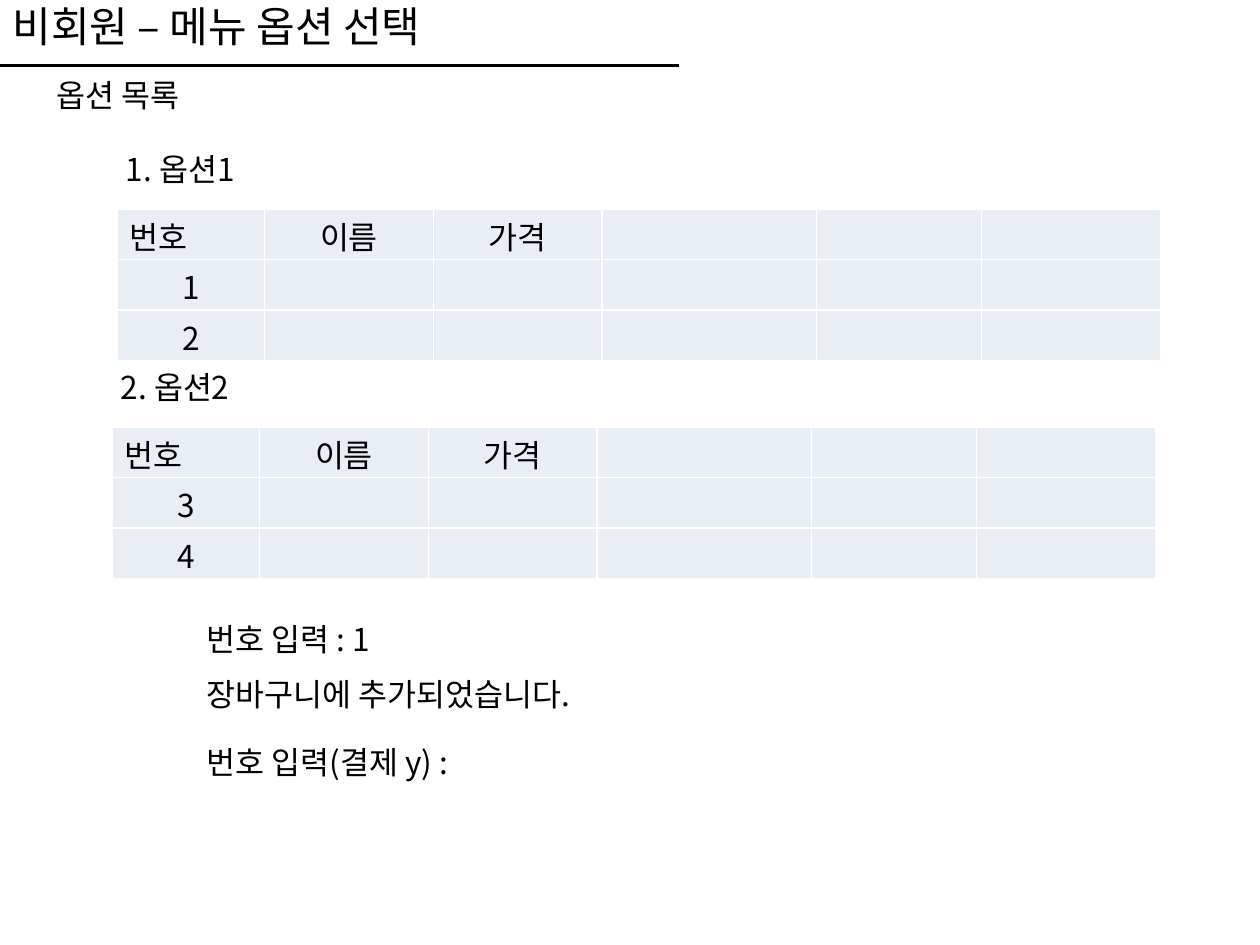
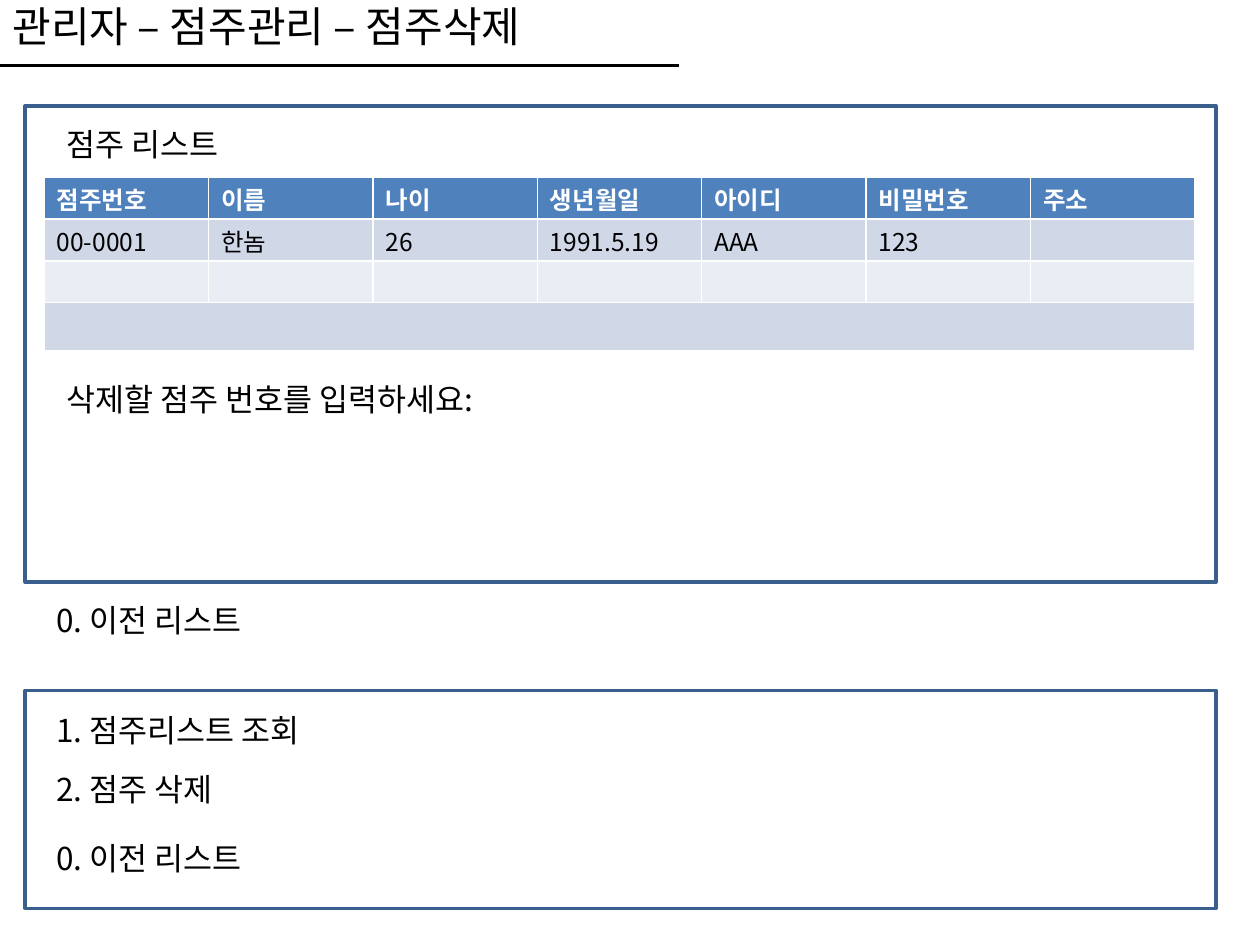
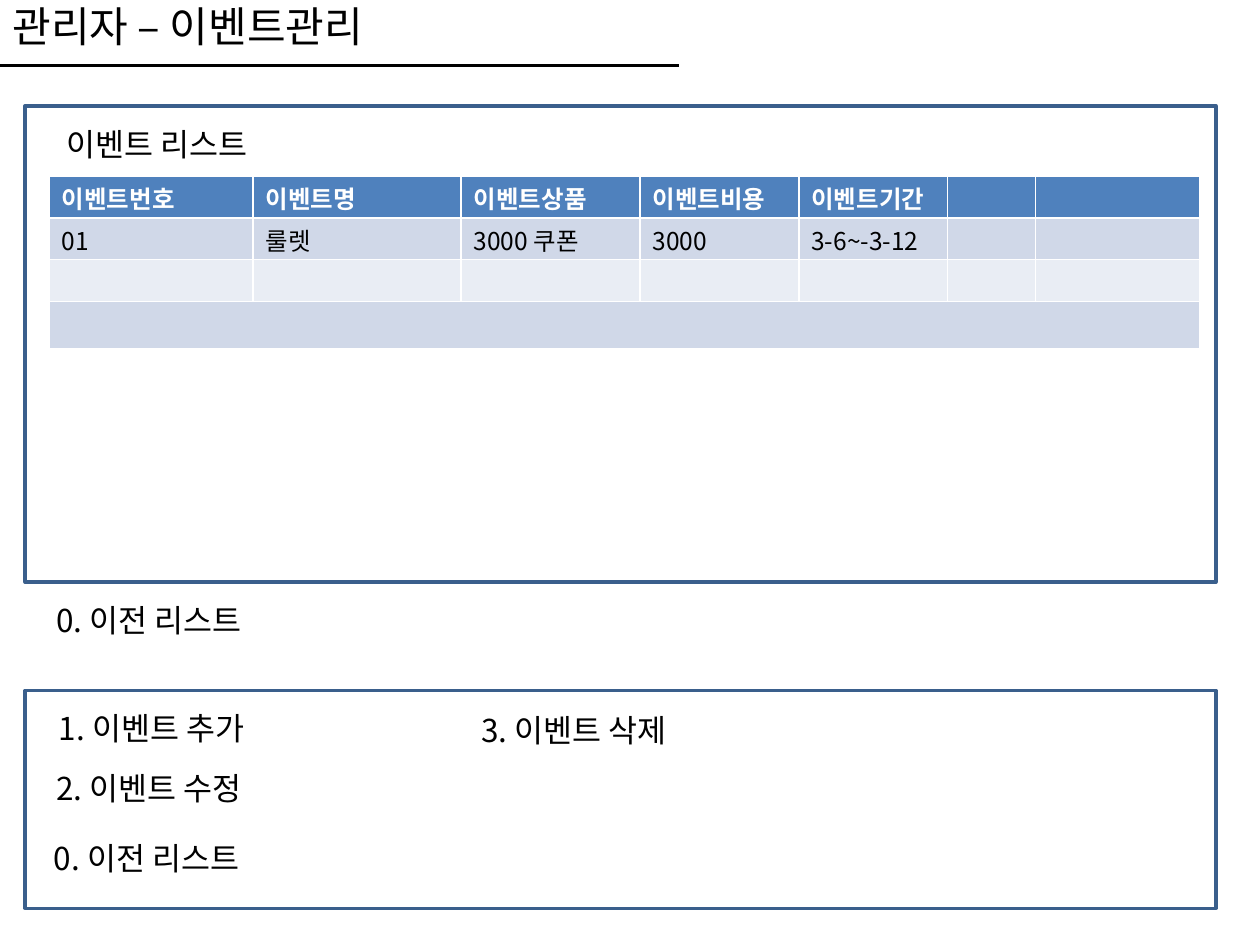
from dataclasses import dataclass

from lxml import etree
from pptx import Presentation
from pptx.dml.color import RGBColor
from pptx.enum.shapes import MSO_CONNECTOR, MSO_SHAPE
from pptx.enum.text import MSO_ANCHOR, PP_ALIGN
from pptx.oxml.ns import qn
from pptx.util import Inches, Pt

LEFT, CENTER = PP_ALIGN.LEFT, PP_ALIGN.CENTER
TOP = MSO_ANCHOR.TOP
RECTANGLE = MSO_SHAPE.RECTANGLE
STRAIGHT = MSO_CONNECTOR.STRAIGHT
TITLE_ONLY = 5


@dataclass(frozen=True)
class Theme:
    font: str = "Noto Sans CJK KR"
    text: RGBColor = RGBColor(0x00, 0x00, 0x00)
    white: RGBColor = RGBColor(0xFF, 0xFF, 0xFF)
    frame: RGBColor = RGBColor(0x3A, 0x5F, 0x8C)
    header: RGBColor = RGBColor(0x4F, 0x81, 0xBD)
    band: RGBColor = RGBColor(0xD0, 0xD8, 0xE8)
    pale: RGBColor = RGBColor(0xE9, 0xED, 0xF4)
    title_size: int = 24
    body_size: int = 18
    table_size: int = 14


THEME = Theme()


# Text helpers
def add_run(p, text, size=THEME.body_size, color=THEME.text, bold=False):
    r = p.add_run()
    r.text = text
    r.font.size = Pt(size)
    r.font.bold = bold
    r.font.color.rgb = color
    r.font.name = THEME.font
    etree.SubElement(r._r.get_or_add_rPr(), qn("a:ea"), typeface=THEME.font)


def format_frame(tf):
    tf.word_wrap = True
    tf.vertical_anchor = TOP
    tf.margin_left = tf.margin_right = Inches(0.1)
    tf.margin_top = tf.margin_bottom = 0


def add_text(slide, left, top, width, *lines, height=0.4, gap=0):
    box = slide.shapes.add_textbox(Inches(left), Inches(top), Inches(width), Inches(height))
    tf = box.text_frame
    format_frame(tf)
    for i, line in enumerate(lines):
        p = tf.add_paragraph() if i else tf.paragraphs[0]
        if i:
            p.space_before = Pt(gap)
        add_run(p, line)


# Title with the rule below it
def add_titled_slide(prs, title, width=5.39):
    slide = prs.slides.add_slide(prs.slide_layouts[TITLE_ONLY])
    sp = slide.shapes.title
    sp.left, sp.top, sp.width, sp.height = 0, 0, Inches(width), Inches(0.5)
    format_frame(sp.text_frame)
    p = sp.text_frame.paragraphs[0]
    p.alignment = LEFT
    add_run(p, title, THEME.title_size)

    rule = slide.shapes.add_connector(STRAIGHT, 0, Inches(0.52), Inches(5.39), Inches(0.52))
    rule.line.color.rgb = THEME.text
    rule.line.width = Pt(1.75)
    etree.SubElement(rule._element.spPr, qn("a:effectLst"))
    return slide


# Tables
def add_grid(slide, left, top, widths, heights, fills, rows, header, size):
    frame = slide.shapes.add_table(
        len(heights), len(widths), Inches(left), Inches(top),
        Inches(sum(widths)), Inches(sum(heights)))
    table = frame.table
    table.first_row = header
    table.horz_banding = False
    for column, width in zip(table.columns, widths):
        column.width = Inches(width)
    for row, height, fill in zip(table.rows, heights, fills):
        row.height = Inches(height)
        for cell in row.cells:
            cell.fill.solid()
            cell.fill.fore_color.rgb = fill
            cell.margin_top, cell.margin_bottom = Inches(0.03), 0
    for i, texts in enumerate(rows):
        is_head = header and i == 0
        color = THEME.white if is_head else THEME.text
        for j, text in enumerate(texts):
            p = table.cell(i, j).text_frame.paragraphs[0]
            # Option tables centre everything but the first heading
            p.alignment = LEFT if header or i + j == 0 else CENTER
            add_run(p, text, size, color, is_head)
    return table


def add_option_section(slide, left, top, heading, numbers):
    add_text(slide, left, top, 5.75, heading)
    rows = [["번호", "이름", "가격"]] + [[n] for n in numbers]
    add_grid(slide, left + 0.03, top + 0.47, [1.17, 1.34, 1.34, 1.7, 1.31, 1.42],
             [0.4] * 3, [THEME.pale] * 3, rows, False, THEME.body_size)


def add_record_table(slide, left, top, widths, rows):
    fills = [THEME.header, THEME.band, THEME.pale, THEME.band]
    table = add_grid(slide, left, top, widths, [0.33] * 3 + [0.38], fills,
                     rows, True, THEME.table_size)
    table.cell(3, 0).merge(table.cell(3, len(widths) - 1))


# Framed regions
def add_panel(slide, left, top, width, height):
    sp = slide.shapes.add_shape(RECTANGLE, Inches(left), Inches(top),
                                Inches(width), Inches(height))
    sp.shadow.inherit = False
    sp.fill.background()
    sp.line.color.rgb = THEME.frame
    sp.line.width = Pt(2)


def add_list_panel(slide, left, top, heading, table_offset, widths, rows, prompt=None):
    add_panel(slide, left, top, 9.45, 3.78)
    add_text(slide, left + 0.23, top + 0.15, 3.78, heading)
    dx, dy = table_offset
    add_record_table(slide, left + dx, top + dy, widths, rows)
    if prompt:
        add_text(slide, left + 0.23, top + 2.18, 4.8, prompt)


def add_menu_panel(slide, left, top, items):
    add_panel(slide, left, top, 9.45, 1.73)
    for dx, dy, text in items:
        add_text(slide, left + dx, top + dy, 4.33, text)


# Slide types
def build_option_slide(prs):
    slide = add_titled_slide(prs, "비회원 – 메뉴 옵션 선택", 7.36)
    add_text(slide, 0.35, 0.6, 2.83, "옵션 목록")
    add_option_section(slide, 0.9, 1.19, "1. 옵션1", ["1", "2"])
    add_option_section(slide, 0.86, 2.92, "2. 옵션2", ["3", "4"])
    add_text(slide, 1.54, 4.92, 2.83, "번호 입력 : 1")
    add_text(slide, 1.54, 5.36, 4.57, "장바구니에 추가되었습니다.",
             "번호 입력(결제 y) :", height=1.01, gap=17)


def build_admin_slide(prs, title, heading, table_offset, widths, rows, menu, prompt=None):
    slide = add_titled_slide(prs, title)
    add_list_panel(slide, 0.2, 0.84, heading, table_offset, widths, rows, prompt)
    add_text(slide, 0.35, 4.77, 4.33, "0. 이전 리스트")
    add_menu_panel(slide, 0.2, 5.48, menu)


def main():
    prs = Presentation()
    prs.slide_width, prs.slide_height = Inches(10), Inches(7.5)

    build_option_slide(prs)
    build_admin_slide(
        prs, "관리자 – 점주관리 – 점주삭제", "점주 리스트", (0.15, 0.57), [1.305] * 7,
        [["점주번호", "이름", "나이", "생년월일", "아이디", "비밀번호", "주소"],
         ["00-0001", "한놈", "26", "1991.5.19", "AAA", "123"]],
        [(0.15, 0.16, "1. 점주리스트 조회"), (0.15, 0.63, "2. 점주 삭제"),
         (0.15, 1.18, "0. 이전 리스트")],
        "삭제할 점주 번호를 입력하세요:")
    build_admin_slide(
        prs, "관리자 – 이벤트관리", "이벤트 리스트", (0.19, 0.56),
        [1.62, 1.65, 1.42, 1.26, 1.18, 0.7, 1.3],
        [["이벤트번호", "이벤트명", "이벤트상품", "이벤트비용", "이벤트기간"],
         ["01", "룰렛", "3000 쿠폰", "3000", "3-6~-3-12"]],
        [(0.17, 0.15, "1. 이벤트 추가"), (0.15, 0.62, "2. 이벤트 수정"),
         (0.13, 1.18, "0. 이전 리스트"), (3.52, 0.16, "3. 이벤트 삭제")])

    prs.save("out.pptx")


if __name__ == "__main__":
    main()
